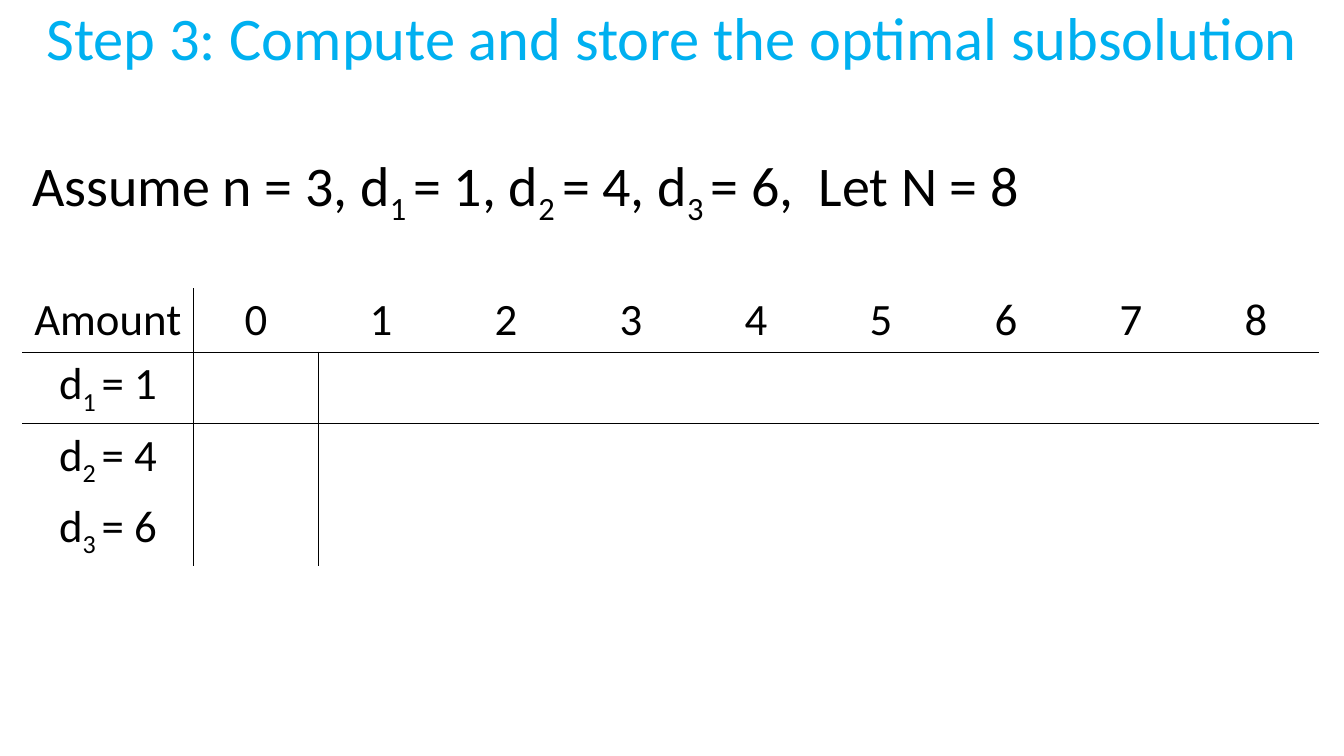
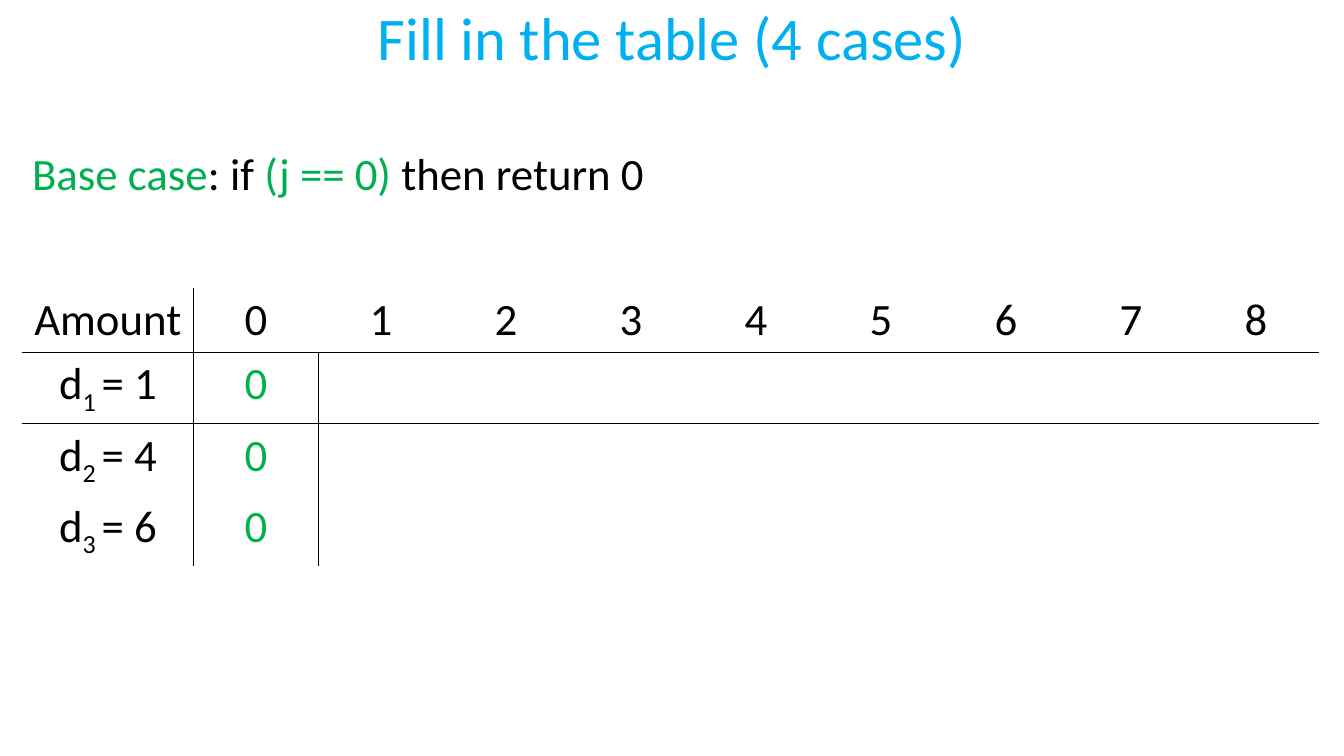
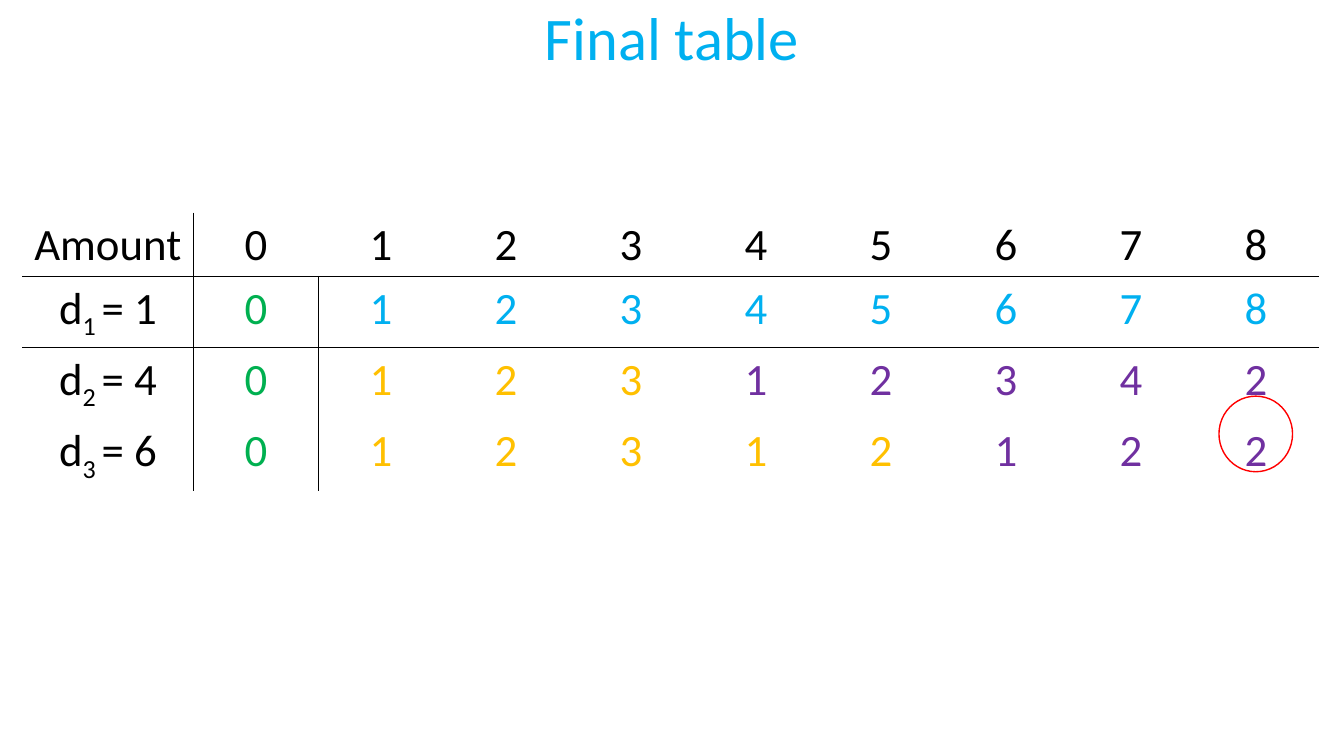
from lxml.etree import SubElement
from pptx import Presentation
from pptx.dml.color import RGBColor
from pptx.enum.shapes import MSO_SHAPE
from pptx.enum.text import MSO_ANCHOR, PP_ALIGN
from pptx.oxml.ns import qn
from pptx.util import Inches, Pt

FONT = "Calibri"
BLACK, BLUE, GREEN = "000000", "00B0F0", "00B050"
GOLD, PURPLE, RED = "FFC000", "7030A0", "FF0000"
PLAIN_TABLE_STYLE = "{2D5ABB26-0587-4C30-8999-92F81FD0307C}"


def add_text(para, text, size=32, color=BLACK, align=PP_ALIGN.LEFT):
    """Append text to a paragraph; parts between tildes are subscripts."""
    para.alignment = align
    for index, part in enumerate(text.split("~")):
        if part:
            span = para.add_run()
            span.text = part
            span.font.name = FONT
            span.font.size = Pt(size)
            span.font.color.rgb = RGBColor.from_string(color)
            if index % 2:
                span.font._element.set("baseline", "-25000")


def add_box(page, left, top, width, height, anchor=MSO_ANCHOR.TOP):
    """Add a wrapping text box and return its first paragraph."""
    box = page.shapes.add_textbox(Inches(left), Inches(top), Inches(width), Inches(height))
    box.text_frame.word_wrap = True
    box.text_frame.vertical_anchor = anchor
    return box.text_frame.paragraphs[0]


deck = Presentation()
deck.slide_width, deck.slide_height = Inches(13.33), Inches(7.5)

coins = ["d~1 ~= 1", "d~2 ~= 4", "d~3 ~= 6"]
base_case = [[(GREEN, "0")]] * 3
all_cases = [
    [(GREEN, "0"), (BLUE, "12345678")],
    [(GREEN, "0"), (GOLD, "123"), (PURPLE, "12342")],
    [(GREEN, "0"), (GOLD, "12312"), (PURPLE, "122")],
]
# Title, table top and coloured digits of the coin rows
slides = [
    ("Step 3: Compute and store the optimal subsolution", 2.86, [[], [], []]),
    ("Fill in the table (4 cases)", 2.86, base_case),
    ("Final table", 2.11, all_cases),
]

pages = []
for title, table_top, results in slides:
    page = deck.slides.add_slide(deck.slide_layouts[6])
    pages.append(page)
    para = add_box(page, 0, 0.02, 13.33, 0.78, anchor=MSO_ANCHOR.MIDDLE)
    para.line_spacing = 0.9
    add_text(para, title, size=43.2, color=BLUE, align=PP_ALIGN.CENTER)

    frame = page.shapes.add_table(4, 10, Inches(0.22), Inches(table_top),
                                  Inches(12.9), Inches(2.53))
    table = frame.table
    table.first_row = table.horz_banding = False
    table._tbl.tblPr.find(qn("a:tableStyleId")).text = PLAIN_TABLE_STYLE
    for index, column in enumerate(table.columns):
        column.width = Inches(1.24 if index else 1.7)
    for row in table.rows:
        row.height = Inches(0.41)
    frame.height = Inches(2.53)

    rows = [[(BLACK, "Amount")] + [(BLACK, str(amount)) for amount in range(9)]]
    for coin, groups in zip(coins, results):
        rows.append([(BLACK, coin)] + [(color, digit) for color, digits in groups
                                       for digit in digits])
    for r, row in enumerate(rows):
        for c in range(10):
            cell = table.cell(r, c)
            if c < len(row):
                color, text = row[c]
                add_text(cell.text_frame.paragraphs[0], text, color=color,
                         align=PP_ALIGN.CENTER)
            edges = []
            if c == 0 or (c == 1 and r > 0):
                edges.append("a:lnR")
            if r < 2:
                edges.append("a:lnB")
            for edge in edges:
                line = SubElement(cell._tc.get_or_add_tcPr(), qn(edge), w=str(Pt(1)))
                fill = SubElement(line, qn("a:solidFill"))
                SubElement(fill, qn("a:srgbClr"), val=BLACK)
            cell.fill.background()

setup_page, base_page, final_page = pages

para = add_box(setup_page, 0.22, 1.44, 13.26, 0.77)
add_text(para, "Assume n = 3, d~1 ~= 1, d~2 ~= 4, d~3 ~= 6,  Let N = 8", size=40)

para = add_box(base_page, 0.22, 1.46, 11.5, 0.63)
para.line_spacing = 0.9
para.space_before = Pt(10)
for text, color in [("Base case", GREEN), (": if ", BLACK),
                    ("(j == 0) ", GREEN), ("then return 0", BLACK)]:
    add_text(para, text, color=color)

answer_ring = final_page.shapes.add_shape(MSO_SHAPE.OVAL, Inches(12.09), Inches(3.93),
                                          Inches(0.73), Inches(0.75))
answer_ring.shadow.inherit = False
answer_ring.fill.background()
answer_ring.line.color.rgb = RGBColor.from_string(RED)
answer_ring.line.width = Pt(1)

deck.save("out.pptx")
